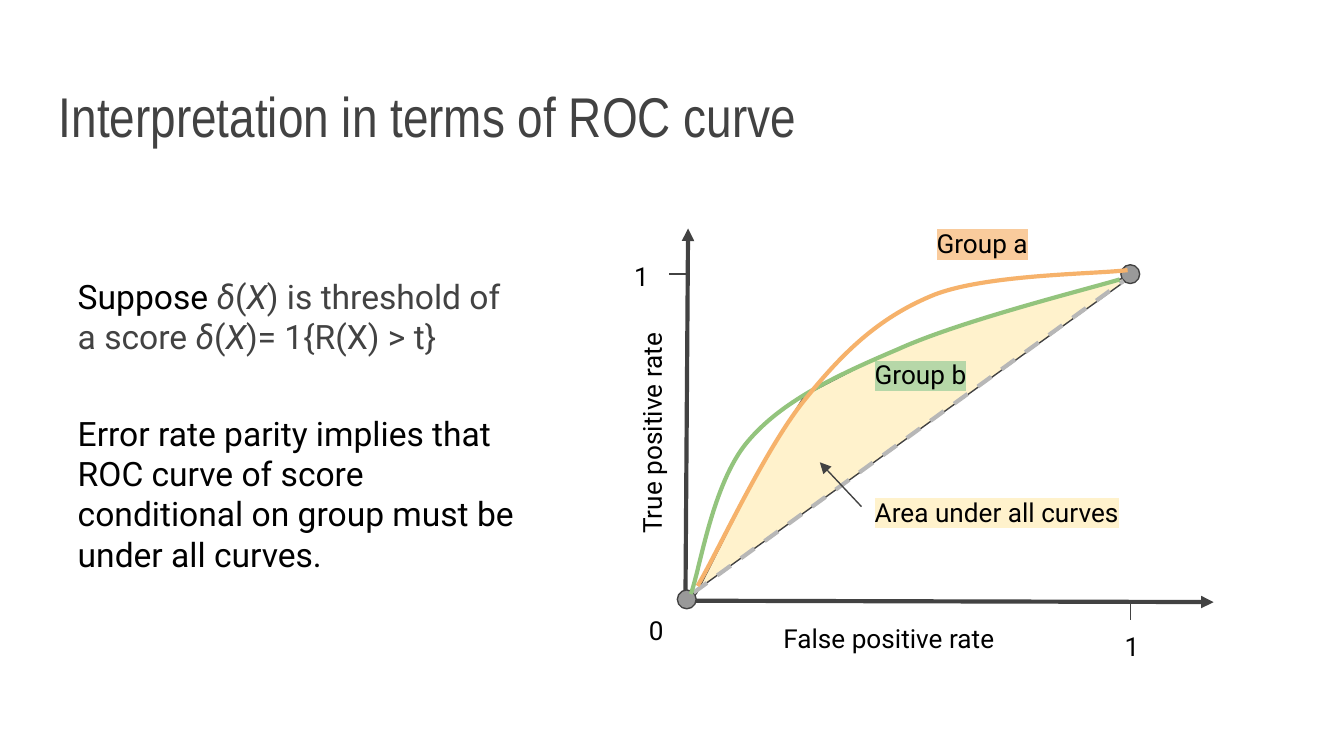
from lxml import etree
from pptx import Presentation
from pptx.dml.color import RGBColor as RGB
from pptx.enum.dml import MSO_LINE
from pptx.enum.shapes import MSO_CONNECTOR, MSO_SHAPE
from pptx.enum.text import MSO_ANCHOR
from pptx.oxml.ns import qn
from pptx.util import Inches, Pt

C = {"ink": "424242", "black": "000000", "dot": "999999", "dash": "B7B7B7",
     "area": "FFF2CC", "orange": "F6B26B", "green": "93C47D",
     "orange_mark": "F9CB9C", "green_mark": "B6D7A8"}

prs = Presentation()
prs.slide_width, prs.slide_height = Inches(10), Inches(10) * 9 // 16
s = prs.slides.add_slide(prs.slide_layouts[6])


def add_text(runs, x, y, w, h, size=14, font="Roboto", color="black",
             mark=None, anchor=MSO_ANCHOR.TOP, rotation=0):
    sp = s.shapes.add_textbox(Inches(x), Inches(y), Inches(w), Inches(h))
    sp.rotation = rotation
    tf = sp.text_frame
    tf.word_wrap = True
    tf.vertical_anchor = anchor
    tf.margin_left = tf.margin_right = tf.margin_top = tf.margin_bottom = Inches(0.1)
    p = tf.paragraphs[0]
    if isinstance(runs, str):
        runs = [(runs, color, False)]
    for text, run_color, italic in runs:
        r = p.add_run()
        r.text = text
        r.font.size = Pt(size)
        r.font.name = font
        r.font.italic = italic
        r.font.color.rgb = RGB.from_string(C[run_color])
        if mark:
            highlight = etree.Element(qn("a:highlight"))
            etree.SubElement(highlight, qn("a:srgbClr"), val=C[mark])
            r.font._element.find(qn("a:solidFill")).addnext(highlight)


def add_line(x1, y1, x2, y2, color="ink", width=0.75, arrow=False, dash=False):
    line = s.shapes.add_connector(MSO_CONNECTOR.STRAIGHT, Inches(x1), Inches(y1),
                                  Inches(x2), Inches(y2))
    line.line.color.rgb = RGB.from_string(C[color])
    line.line.width = Pt(width)
    if dash:
        line.line.dash_style = MSO_LINE.DASH
    if arrow:
        etree.SubElement(line.line._get_or_add_ln(), qn("a:tailEnd"), type="triangle")
    etree.SubElement(line._element.spPr, qn("a:effectLst"))


area = [(5.18, 4.42), (5.66, 3.47), (5.99, 2.94), (6.53, 2.66), (6.78, 2.55),
        (7.29, 2.38), (8.11, 2.14), (8.43, 2.05), (5.13, 4.43)]
green_curve = [(5.14, 4.42), (5.21, 4.23), (5.3, 3.6), (5.56, 3.29), (5.81, 2.99),
               (6.21, 2.8), (6.68, 2.6), (7.14, 2.39), (8.06, 2.16), (8.33, 2.08)]
orange_curve = [(5.19, 4.36), (5.33, 4.13), (5.7, 3.32), (6, 2.96), (6.29, 2.6),
                (6.56, 2.35), (6.96, 2.19), (7.36, 2.04), (8.15, 2.04), (8.39, 2.01)]

builder = s.shapes.build_freeform(Inches(area[0][0]), Inches(area[0][1]))
builder.add_line_segments([(Inches(x), Inches(y)) for x, y in area[1:]])
sp = builder.convert_to_shape()
sp.shadow.inherit = False
sp.fill.solid()
sp.fill.fore_color.rgb = RGB.from_string(C["area"])
sp.line.color.rgb = RGB.from_string(C["ink"])
sp.line.width = Pt(0.75)

add_text("Interpretation in terms of ROC curve", 0.34, 0.41, 9.32, 0.8, size=30,
         font="Arial Narrow", color="ink", anchor=MSO_ANCHOR.BOTTOM)

add_line(5.1, 4.47, 5.12, 1.7, width=2.25, arrow=True)
add_line(5.1, 4.47, 9.03, 4.48, width=2.25, arrow=True)
add_text("False positive rate", 5.73, 4.53, 2.17, 0.69)
add_text("True positive rate", 4.05, 2.8, 1.85, 0.69, rotation=270)
add_line(5.12, 2.04, 4.98, 2.04)
add_line(8.41, 4.61, 8.41, 4.47)
for text, x, y in [("1", 4.62, 1.84), ("1", 8.27, 4.59), ("0", 4.73, 4.47)]:
    add_text(text, x, y, 0.39, 0.33)

for x, y in [(8.34, 1.97), (5.04, 4.39)]:
    dot = s.shapes.add_shape(MSO_SHAPE.OVAL, Inches(x), Inches(y), Inches(0.14), Inches(0.14))
    dot.shadow.inherit = False
    dot.fill.solid()
    dot.fill.fore_color.rgb = RGB.from_string(C["dot"])
    dot.line.color.rgb = RGB.from_string(C["ink"])
    dot.line.width = Pt(0.75)

add_line(5.16, 4.41, 8.36, 2.09, color="dash", width=2.25, dash=True)
add_text("Group a", 6.87, 1.59, 1.46, 0.44, mark="orange_mark")
add_text("Group b", 6.41, 2.57, 1.46, 0.44, mark="green_mark")
add_text([("Suppose ", "black", False), ("δ", "ink", True), ("(", "ink", False),
          ("X", "ink", True), (") is threshold of a score ", "ink", False),
          ("δ", "ink", True), ("(", "ink", False), ("X", "ink", True),
          (")= 1{R(X) > t}", "ink", False)], 0.48, 1.95, 3.52, 0.35, size=18)
add_text("Error rate parity implies that ROC curve of score conditional on group "
         "must be under all curves.", 0.48, 2.97, 3.52, 0.35, size=18)
add_text("Area under all curves", 6.41, 3.59, 3.01, 0.35, mark="area")
add_line(6.41, 3.77, 6.1, 3.44, arrow=True)

for points, color in [(green_curve, "green"), (orange_curve, "orange")]:
    points = [(Inches(x), Inches(y)) for x, y in points]
    builder = s.shapes.build_freeform(*points[0])
    builder.add_line_segments(points[1:], close=False)
    sp = builder.convert_to_shape()
    sp.shadow.inherit = False
    sp.fill.background()
    sp.line.color.rgb = RGB.from_string(C[color])
    sp.line.width = Pt(2.25)
    segments = list(sp._element.iter(qn("a:lnTo")))
    for i in range(0, len(segments), 3):
        bezier = etree.Element(qn("a:cubicBezTo"))
        segments[i].addprevious(bezier)
        for segment in segments[i:i + 3]:
            bezier.append(segment[0])
            segment.getparent().remove(segment)

prs.save("out.pptx")
